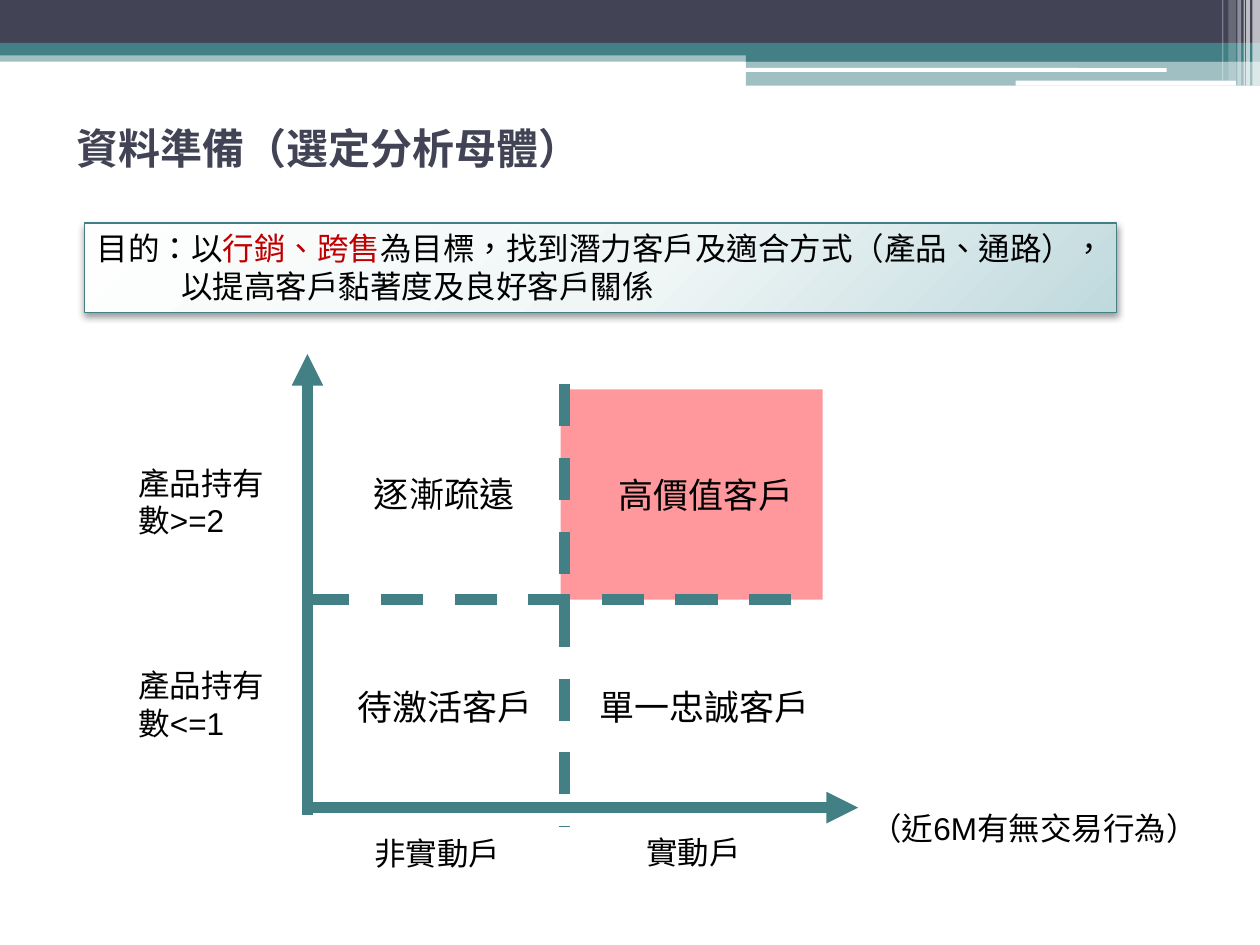
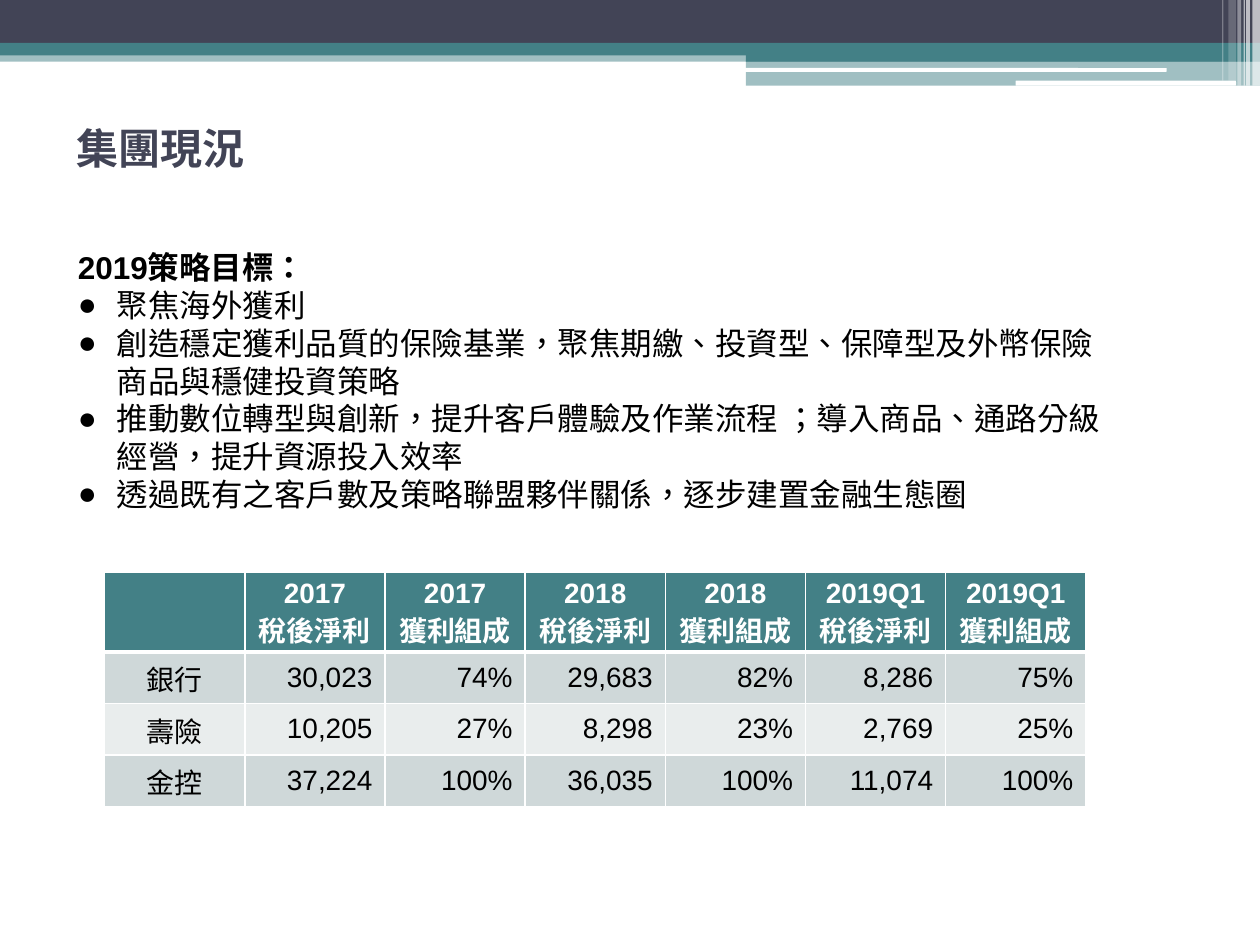
from pptx import Presentation
from pptx.dml.color import RGBColor
from pptx.enum.dml import MSO_LINE
from pptx.enum.lang import MSO_LANGUAGE_ID
from pptx.enum.shapes import MSO_CONNECTOR, MSO_SHAPE
from pptx.enum.text import MSO_ANCHOR, MSO_AUTO_SIZE, PP_ALIGN
from pptx.oxml import parse_xml
from pptx.oxml.ns import nsdecls, qn
from pptx.util import Inches, Pt

TEAL, NAVY, WHITE, BLACK, RED, PINK = "438086", "424456", "FFFFFF", "000000", "C00000", "FF7177"
BAND_FILLS = ["CFD8D9", "E9EDED"]

TITLE = dict(name="Karla", size=Pt(24), bold=True, color=NAVY)
BODY = dict(name="Arial", size=Pt(18), bold=False, color=BLACK,
            language_id=MSO_LANGUAGE_ID.TRADITIONAL_CHINESE)
BODY_BOLD = {**BODY, "bold": True}
ACCENT = {**BODY, "color": RED}
QUADRANT = {**BODY, "size": Pt(20)}
CELL = {**BODY, "size": Pt(16)}
HEADER = {**CELL, "bold": True, "color": WHITE}

# left, top, width, height, colour, opacity in percent
BANDS = [
    (0, 0.4, 10, 0.09, TEAL, 50),
    (0, 0, 10, 0.34, NAVY, 100),
    (0, 0.34, 10, 0.1, TEAL, 100),
    (5.92, 0.39, 4.08, 0.1, TEAL, 100),
    (5.92, 0.48, 4.08, 0.2, TEAL, 50),
]
WHITE_BARS = [(5.91, 0.54, 3.35, 0.03), (8.06, 0.64, 1.75, 0.04)]
# left, width, height, opacity in percent
STRIPES = [
    (9.94, 0.06, 0.68, 65), (9.89, 0.03, 0.68, 65), (9.87, 0.01, 0.68, 60),
    (9.82, 0.03, 0.68, 40), (9.75, 0.06, 0.64, 20), (9.7, 0.01, 0.64, 30),
]

GOALS = [
    "聚焦海外獲利",
    "創造穩定獲利品質的保險基業，聚焦期繳、投資型、保障型及外幣保險商品與穩健投資策略",
    "推動數位轉型與創新，提升客戶體驗及作業流程 ；導入商品、通路分級經營，提升資源投入效率",
    "透過既有之客戶數及策略聯盟夥伴關係，逐步建置金融生態圈",
]
PROFIT = [
    ["", "2017\n稅後淨利", "2017\n獲利組成", "2018\n稅後淨利", "2018\n獲利組成",
     "2019Q1稅後淨利", "2019Q1獲利組成"],
    ["銀行", "30,023", "74%", "29,683", "82%", "8,286", "75%"],
    ["壽險", "10,205", "27%", "8,298", "23%", "2,769", "25%"],
    ["金控", "37,224", "100%", "36,035", "100%", "11,074", "100%"],
]


def rgb(color):
    return RGBColor.from_string(color)


def add_run(p, text, fmt):
    r = p.add_run()
    r.text = text
    for name, value in fmt.items():
        if name == "color":
            r.font.color.rgb = rgb(value)
        else:
            setattr(r.font, name, value)


def add_paragraph(tf, runs, align=PP_ALIGN.LEFT):
    """Fill the empty first paragraph, or append one, with (text, format) runs."""
    p = tf.paragraphs[0]
    if p.runs:
        p = tf.add_paragraph()
    p.alignment = align
    for text, fmt in runs:
        add_run(p, text, fmt)
    return p


def set_indent(p, left, first=0, bullet=None):
    pPr = p._p.get_or_add_pPr()
    pPr.set("marL", str(Inches(left)))
    pPr.set("indent", str(Inches(first)))
    if bullet:
        pPr.append(parse_xml(f'<a:buFont {nsdecls("a")} typeface="Arial"/>'))
        pPr.append(parse_xml(f'<a:buChar {nsdecls("a")} char="{bullet}"/>'))


def fit_text(tf):
    tf.word_wrap = True
    tf.auto_size = MSO_AUTO_SIZE.SHAPE_TO_FIT_TEXT
    tf.vertical_anchor = MSO_ANCHOR.TOP


def add_text(s, box, text, fmt=BODY):
    tf = s.shapes.add_textbox(*map(Inches, box)).text_frame
    fit_text(tf)
    add_paragraph(tf, [(text, fmt)])
    return tf


def add_block(s, box, color, opacity=100, kind=MSO_SHAPE.RECTANGLE):
    sp = s.shapes.add_shape(kind, *map(Inches, box))
    sp.shadow.inherit = False
    sp.line.fill.background()
    sp.fill.solid()
    sp.fill.fore_color.rgb = rgb(color)
    if opacity < 100:
        clr = sp.element.spPr.find(qn("a:solidFill")).find(qn("a:srgbClr"))
        clr.append(parse_xml(f'<a:alpha {nsdecls("a")} val="{opacity * 1000}"/>'))
    return sp


def add_line(s, x1, y1, x2, y2, arrow=False):
    """Thick teal line, either an arrow or dashed."""
    c = s.shapes.add_connector(MSO_CONNECTOR.STRAIGHT, *map(Inches, (x1, y1, x2, y2)))
    c.line.color.rgb = rgb(TEAL)
    c.line.width = Pt(6)
    if arrow:
        c.line._get_or_add_ln().append(parse_xml(f'<a:tailEnd {nsdecls("a")} type="triangle"/>'))
    else:
        c.line.dash_style = MSO_LINE.DASH
    c.element.spPr.append(parse_xml(f'<a:effectLst {nsdecls("a")}/>'))


def decorate_layout(layout, s):
    """Draw the bands on s, then move them to the layout so that every slide shares them."""
    for ph in list(layout.placeholders):
        if ph.placeholder_format.idx:
            ph.element.getparent().remove(ph.element)
    blocks = [add_block(s, box, color, opacity) for *box, color, opacity in BANDS]
    blocks += [add_block(s, box, WHITE, kind=MSO_SHAPE.ROUNDED_RECTANGLE) for box in WHITE_BARS]
    blocks += [add_block(s, (x, 0, w, h), WHITE, opacity) for x, w, h, opacity in STRIPES]
    for sp in blocks:
        layout.shapes.element.append(sp.element)


def add_title(s, text):
    sp = s.shapes.title
    for name, value in dict(left=0.51, top=0.83, width=9, height=0.69).items():
        setattr(sp, name, Inches(value))
    tf = sp.text_frame
    tf.vertical_anchor = MSO_ANCHOR.MIDDLE
    tf.auto_size = MSO_AUTO_SIZE.NONE
    add_paragraph(tf, [(text, TITLE)])


def add_purpose(s, box):
    sp = s.shapes.add_shape(MSO_SHAPE.RECTANGLE, *map(Inches, box))
    stops = "".join(f'<a:gs pos="{pos * 1000}"><a:srgbClr val="{color}"/></a:gs>'
                    for pos, color in [(0, "FEFEFE"), (55, "F0F6F6"), (100, "BFD9DD")])
    sp.element.spPr.append(parse_xml(
        f'<a:gradFill {nsdecls("a")} rotWithShape="1"><a:gsLst>{stops}</a:gsLst><a:path path="circle">'
        '<a:fillToRect l="-40000" t="-90000" r="140000" b="190000"/></a:path></a:gradFill>'))
    sp.line.color.rgb = rgb(TEAL)
    sp.line.width = Pt(0.75)
    sp.element.spPr.append(parse_xml(
        f'<a:effectLst {nsdecls("a")}><a:outerShdw blurRad="{Pt(4.1)}" dist="{Pt(2)}" dir="5400000" '
        f'rotWithShape="0"><a:srgbClr val="{BLACK}"><a:alpha val="40000"/></a:srgbClr>'
        '</a:outerShdw></a:effectLst>'))
    tf = sp.text_frame
    fit_text(tf)
    add_paragraph(tf, [("目的：以", BODY), ("行銷、跨售", ACCENT),
                       ("為目標，找到潛力客戶及適合方式（產品、通路），", BODY)])
    set_indent(add_paragraph(tf, [("以提高客戶黏著度及良好客戶關係", BODY)]), 0.67)


def add_quadrants(s, x, y, w, h):
    """Customer matrix; x, y is the tip of the vertical axis, w and h the axis lengths."""
    base, mid_x, mid_y = y + h, x + 2.04, y + 1.95
    add_block(s, (mid_x - 0.03, mid_y - 1.67, 2.08, 1.67), PINK, 72)
    add_line(s, x, base + 0.06, x, y, arrow=True)
    add_line(s, x, base, x + w, base, arrow=True)
    add_line(s, x, mid_y, x + 4.08, mid_y)
    add_line(s, mid_x, y + 0.24, mid_x, base + 0.15)

    labels = [
        ("（近6M有無交易行為）", w, h - 0.04, 3.19, BODY),
        ("非實動戶", 0.43, h + 0.16, 1.29, BODY),
        ("實動戶", 2.59, h + 0.15, 1, BODY),
        ("產品持有數>=2", -1.44, 0.82, 1.25, BODY),
        ("產品持有數<=1", -1.44, 2.43, 1.25, BODY),
        ("逐漸疏遠", 0.43, 0.89, 1.43, QUADRANT),
        ("待激活客戶", 0.3, 2.58, 1.64, QUADRANT),
        ("單一忠誠客戶", 2.22, 2.58, 1.93, QUADRANT),
        ("高價值客戶", 2.37, 0.9, 1.72, QUADRANT),
    ]
    for text, dx, dy, width, fmt in labels:
        add_text(s, (x + dx, y + dy, width, 0.4), text, fmt)


def add_goals(s, box):
    tf = add_text(s, box, "2019策略目標：", BODY_BOLD)
    for goal in GOALS:
        set_indent(add_paragraph(tf, [(goal, BODY)]), 0.31, -0.31, "●")


def set_borders(cell, top=1, bottom=1):
    tcPr = cell._tc.get_or_add_tcPr()
    for side, width in dict(L=1, R=1, T=top, B=bottom).items():
        tcPr.append(parse_xml(
            f'<a:ln{side} {nsdecls("a")} w="{Pt(width)}"><a:solidFill>'
            f'<a:srgbClr val="{WHITE}"/></a:solidFill></a:ln{side}>'))


def add_profit_table(s, x, y, w, header_h, row_h):
    rows, cols = len(PROFIT), len(PROFIT[0])
    height = header_h + row_h * (rows - 1)
    table = s.shapes.add_table(rows, cols, *map(Inches, (x, y, w, height))).table
    for i, values in enumerate(PROFIT):
        is_header = i == 0
        table.rows[i].height = Inches(header_h if is_header else row_h)
        for j, value in enumerate(values):
            cell = table.cell(i, j)
            set_borders(cell, top=3 if i == 1 else 1, bottom=3 if is_header else 1)
            cell.fill.solid()
            cell.fill.fore_color.rgb = rgb(TEAL if is_header else BAND_FILLS[(i - 1) % 2])
            cell.vertical_anchor = MSO_ANCHOR.TOP if is_header else MSO_ANCHOR.MIDDLE
            align = PP_ALIGN.CENTER if is_header or j == 0 else PP_ALIGN.RIGHT
            for line in value.split("\n") if value else []:
                add_paragraph(cell.text_frame, [(line, HEADER if is_header else CELL)], align)


def build_population_slide(s):
    add_title(s, "資料準備（選定分析母體）")
    add_purpose(s, (0.67, 1.77, 8.19, 0.71))
    add_quadrants(s, 2.44, 2.81, 4.37, 3.6)


def build_group_slide(s):
    add_title(s, "集團現況")
    add_goals(s, (0.52, 1.92, 8.47, 2.22))
    add_profit_table(s, 0.83, 4.54, 7.79, 0.62, 0.41)


def main():
    prs = Presentation()
    prs.slide_width, prs.slide_height = Inches(10), Inches(7.5)
    layout = prs.slide_layouts.get_by_name("Title Only")
    population, group = [prs.slides.add_slide(layout) for _ in range(2)]
    decorate_layout(layout, population)
    build_population_slide(population)
    build_group_slide(group)
    prs.save("out.pptx")


if __name__ == "__main__":
    main()
